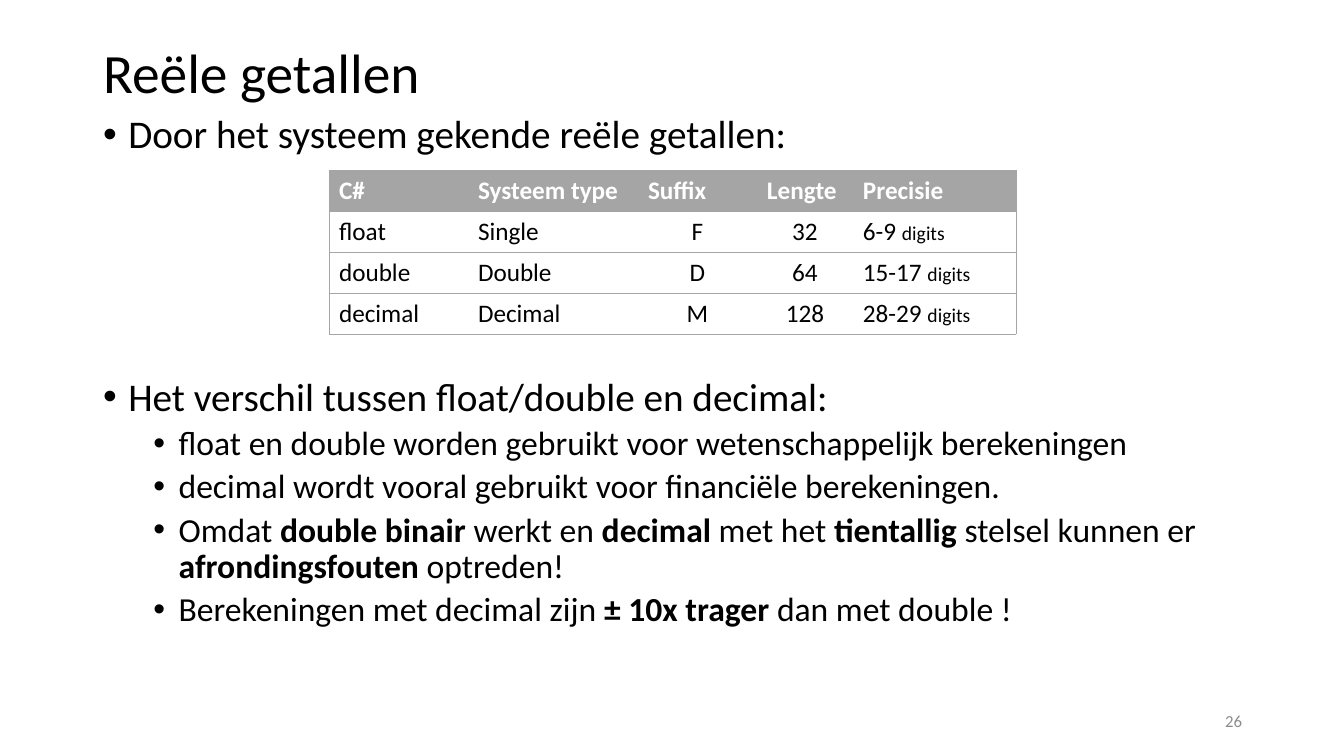
from dataclasses import dataclass

from lxml import etree
from pptx import Presentation
from pptx import util as u
from pptx.dml import color
from pptx.enum import text
from pptx.oxml import ns

PX = 914400 / 100.8  # EMU per pixel


@dataclass(frozen=True)
class Theme:
    font: str = "Calibri"
    ink: str = "000000"
    paper: str = "FFFFFF"
    grid: str = "A5A5A5"
    muted: str = "8C8C8C"
    title: float = 39.6
    lead: float = 28
    detail: float = 24
    cell: float = 18
    unit: float = 14
    number: float = 12


theme = Theme()


def px(*lengths):
    return [u.Emu(round(length * PX)) for length in lengths]


def add_span(para, words, size, ink=theme.ink, bold=False):
    span = para.add_run()
    span.text = words
    span.font.name, span.font.size, span.font.bold = theme.font, u.Pt(size), bold
    span.font.color.rgb = color.RGBColor.from_string(ink)


deck = Presentation()
deck.slide_width, deck.slide_height = px(1344, 756)
page = deck.slides.add_slide(deck.slide_layouts[1])

# Title
title = page.shapes.title
title.left, title.top, title.width, title.height = px(93, 40, 1159, 71)
title.text_frame.auto_size = text.MSO_AUTO_SIZE.NONE
title.text_frame.vertical_anchor = text.MSO_ANCHOR.MIDDLE
para = title.text_frame.paragraphs[0]
para.alignment, para.line_spacing = text.PP_ALIGN.LEFT, 0.9
add_span(para, "Reële getallen", theme.title)

# Bullet list: level, space before in points, runs as (words, bold)
bullets = [
    (0, 10, [("Door het systeem gekende reële getallen:", False)]),
    (0, 157, [("Het verschil tussen float/double en decimal:", False)]),
    (1, 5, [("float en double worden gebruikt voor wetenschappelijk berekeningen", False)]),
    (1, 5, [("decimal wordt vooral gebruikt voor financiële berekeningen.", False)]),
    (1, 5, [("Omdat ", False), ("double binair ", True), ("werkt en ", False),
            ("decimal", True), (" met het ", False), ("tientallig", True),
            (" stelsel kunnen er ", False), ("afrondingsfouten", True),
            (" optreden!", False)]),
    (1, 5, [("Berekeningen met decimal zijn ", False), ("± 10x trager ", True),
            ("dan met double !", False)]),
]
body = page.placeholders[1]
body.left, body.top, body.width, body.height = px(93, 110, 1159, 571)
frame = body.text_frame
frame.auto_size = text.MSO_AUTO_SIZE.NONE
for index, (level, gap, spans) in enumerate(bullets):
    para = frame.add_paragraph() if index else frame.paragraphs[0]
    para.level, para.line_spacing = level, 0.9
    para.space_before, para.space_after = u.Pt(gap), u.Pt(0)
    props = para._p.get_or_add_pPr()
    props.set("marL", str(u.Inches(0.25 + 0.5 * level)))
    props.set("indent", str(u.Inches(-0.25)))
    etree.SubElement(props, ns.qn("a:buFont"), typeface="Arial")
    etree.SubElement(props, ns.qn("a:buChar"), char="•")
    for words, bold in spans:
        add_span(para, words, theme.detail if level else theme.lead, bold=bold)

# Table of number types
rows = [
    ("C#", "Systeem type", "Suffix", "Lengte", "Precisie"),
    ("float", "Single", "F", "32", "6-9 "),
    ("double", "Double", "D", "64", "15-17 "),
    ("decimal", "Decimal", "M", "128", "28-29 "),
]
columns = px(139, 170, 119, 96, 163)
row_height = px(41)[0]
last = len(columns) - 1
holder = page.shapes.add_table(len(rows), len(columns), *px(329, 170, 687, 164))
table = holder.table
table.horz_banding = False
style = table._tbl.tblPr.find(ns.qn("a:tableStyleId"))
style.text = "{2D5ABB26-0587-4C30-8999-92F81FD0307C}"  # no style, no grid
for column, width in zip(table.columns, columns):
    column.width = width
for r, row in enumerate(rows):
    table.rows[r].height = row_height
    header = r == 0
    for c, words in enumerate(row):
        cell = table.cell(r, c)
        para = cell.text_frame.paragraphs[0]
        if not header and c in (2, 3):
            para.alignment = text.PP_ALIGN.CENTER
        add_span(para, words, theme.cell, theme.paper if header else theme.ink, header)
        if not header and c == last:
            add_span(para, "digits", theme.unit)

        # Rules above and below each row, and around the outside
        sides = ["a:lnL"] * (c == 0) + ["a:lnR"] * (c == last) + ["a:lnT", "a:lnB"]
        props = cell._tc.get_or_add_tcPr()
        for side in sides:
            line = etree.SubElement(props, ns.qn(side), w=str(u.Pt(0.5)))
            fill = etree.SubElement(line, ns.qn("a:solidFill"))
            etree.SubElement(fill, ns.qn("a:srgbClr"), val=theme.grid)
        if header:
            cell.fill.solid()
            cell.fill.fore_color.rgb = color.RGBColor.from_string(theme.grid)
        else:
            cell.fill.background()

# Page number
box = page.shapes.add_textbox(*px(950, 701, 302, 40))
box.text_frame.word_wrap = True
box.text_frame.vertical_anchor = text.MSO_ANCHOR.MIDDLE
para = box.text_frame.paragraphs[0]
para.alignment = text.PP_ALIGN.RIGHT
add_span(para, "26", theme.number, theme.muted)

deck.save("out.pptx")
